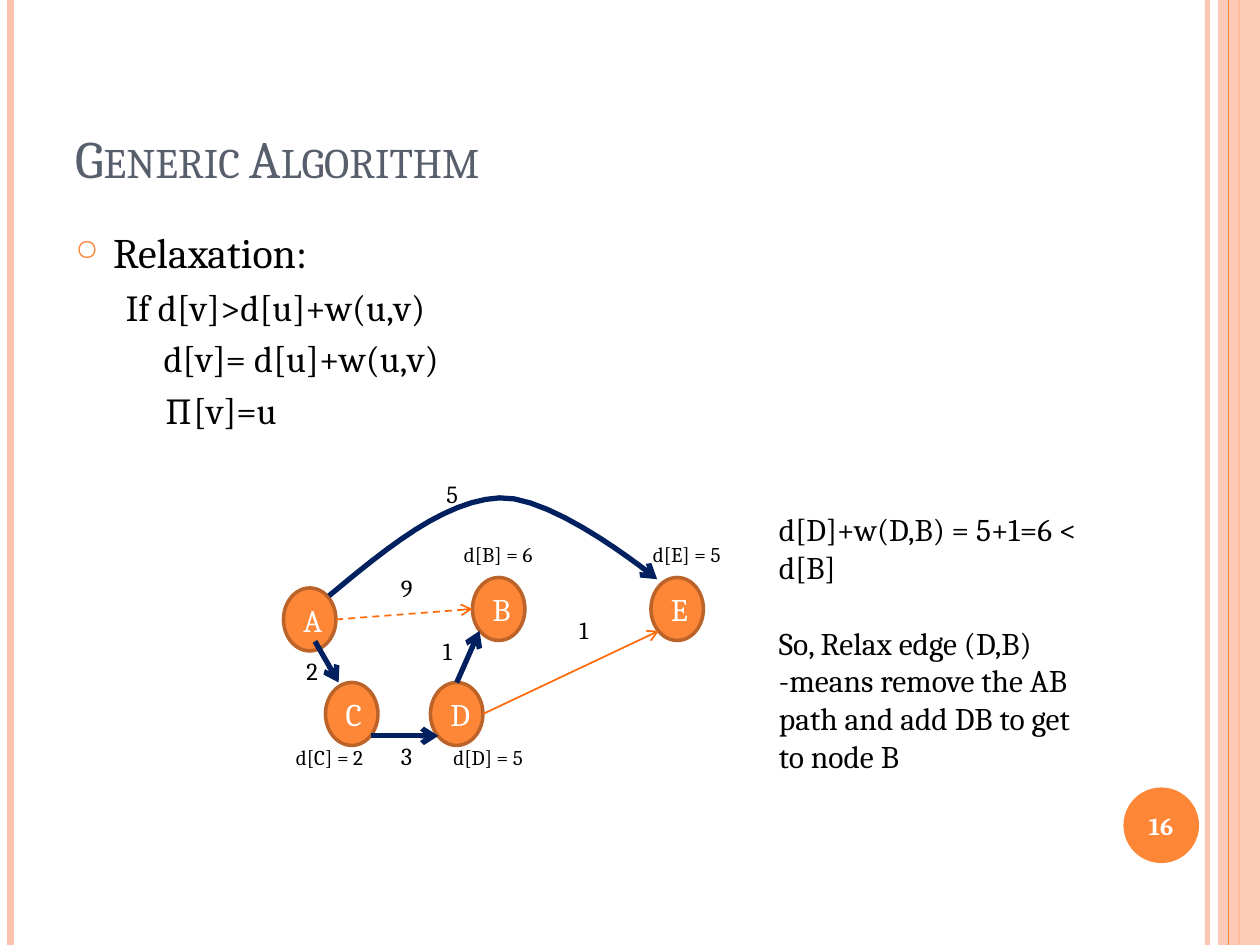
from lxml import etree
from pptx import Presentation
from pptx.dml.color import RGBColor
from pptx.enum import dml, shapes, text
from pptx.oxml import ns
from pptx.util import Pt

FONT = "Cambria"
HUES = {
    "peach": "FEC3AE", "orange": "FE8637", "rust": "BC6329", "edge": "FF6B0A",
    "navy": "002060", "slate": "575F6D", "black": "000000", "white": "FFFFFF",
}
NODES = {"A": (0, 66), "D": (84, 120), "C": (24, 120), "B": (108, 60), "E": (210, 60)}
EDGES = [
    ((30, 84), (108, 78), "edge", 1, True),
    ((18, 96.5), (31.5, 120), "navy", 3, False),
    ((50, 150.5), (88.5, 150.5), "navy", 3, False),
    ((114, 138), (214.5, 90.5), "edge", 1, False),
    ((99, 120), (112, 90.5), "navy", 3, False),
]
ARCS = [
    ((26, 70.5), (59, 43), (92, 16), (123.5, 14.5)),
    ((123.5, 14.5), (155, 13), (213.5, 61), (213.5, 61)),
]
COSTS = [("9", 60, 54), ("5", 86, 0), ("2", 6, 101.5),
         ("3", 60, 150), ("1", 162, 78), ("1", 84, 90)]
DISTS = [("d[B] = 6", 96, 36), ("d[D] = 5", 90, 152),
         ("d[C] = 2", 0, 152), ("d[E] = 5", 204, 36)]


def hue(name):
    """Return the named colour."""
    return RGBColor.from_string(HUES[name])


def pts(*vals):
    """Turn numbers into point lengths."""
    return [Pt(v) for v in vals]


def sub(node, tag, **attrs):
    """Append a drawing element with attributes."""
    return etree.SubElement(node, ns.qn(tag), attrs)


def fade(shape, share):
    """Make the shape's colours partly opaque."""
    for clr in shape._element.spPr.iter(ns.qn("a:srgbClr")):
        sub(clr, "a:alpha", val=str(share * 1000))


def style(frame, size, color):
    """Format every run of a text frame."""
    for para in frame.paragraphs:
        for run in para.runs:
            run.font.name, run.font.size = FONT, Pt(size)
            run.font.color.rgb = hue(color)


def write(pool, box, words, size, color="black", wrap=True):
    """Add a text box and return its frame."""
    frame = pool.add_textbox(*pts(*box)).text_frame
    frame.word_wrap = wrap
    frame.text = words
    style(frame, size, color)
    return frame


def line(pool, start, end, color, width):
    """Add a straight line without a shadow."""
    link = pool.add_connector(shapes.MSO_CONNECTOR.STRAIGHT, *pts(*start, *end))
    link.line.color.rgb = hue(color)
    link.line.width = Pt(width)
    sub(link._element.spPr, "a:effectLst")
    return link


def solid(pool, kind, box, color):
    """Add a filled shape without outline or shadow."""
    shape = pool.add_shape(kind, *pts(*box))
    shape.shadow.inherit = False
    shape.fill.solid()
    shape.fill.fore_color.rgb = hue(color)
    shape.line.fill.background()
    return shape


def point(shape):
    """Put an open arrowhead at the end of a line."""
    sub(shape.line._get_or_add_ln(), "a:tailEnd", type="arrow")


def frame_page(pool, box):
    """Draw the side stripes and the number disc."""
    left, top, wide, high = box

    def stripe(x, color, width):
        return line(pool, (left + x, top), (left + x, top + high), color, width)

    fade(stripe(wide - 30, "peach", 3), 93)
    stripe(6, "peach", 4.5)
    stripe(wide - 12, "orange", 1.5)
    band = (left + wide - 24, top, 24, high)
    fade(solid(pool, shapes.MSO_SHAPE.RECTANGLE, band, "peach"), 87)
    stripe(wide - 18, "orange", 0.75)
    spot = (left + wide - 78, top + high - 90, 43.2, 43.2)
    disc = solid(pool, shapes.MSO_SHAPE.OVAL, spot, "orange")
    body = disc.text_frame
    body.text = "16"
    body.vertical_anchor = text.MSO_ANCHOR.MIDDLE
    body.paragraphs[0].alignment = text.PP_ALIGN.CENTER
    style(body, 14, "white")
    body.paragraphs[0].runs[0].font.bold = True


def head(pool, box):
    """Write the title in small capitals."""
    frame = write(pool, box, "Generic Algorithm", 30, "slate")
    frame.vertical_anchor = text.MSO_ANCHOR.BOTTOM
    frame.paragraphs[0].runs[0].font._element.set("cap", "small")


def rule(pool, box):
    """Write the relaxation rule with its indented steps."""
    words = "Relaxation:\nIf d[v]>d[u]+w(u,v)\nd[v]= d[u]+w(u,v)\n∏[v]=u"
    frame = write(pool, box, words, 21)
    indents = [(21.6, -21.6), (50.4, -21.6), (50.4, 0), (50.4, 0)]
    for para, (left, first) in zip(frame.paragraphs, indents):
        para.space_before = Pt(4.2)
        props = para._p.get_or_add_pPr()
        props.set("marL", str(Pt(left)))
        props.set("indent", str(Pt(first)))
    lead = frame.paragraphs[0]
    lead.space_before = Pt(6)
    lead.runs[0].font.size = Pt(24)
    props = lead._p.get_or_add_pPr()
    sub(sub(props, "a:buClr"), "a:srgbClr", val=HUES["orange"])
    sub(props, "a:buSzPct", val="70000")
    sub(props, "a:buChar", char="○")


def note(pool, box):
    """Write the remark beside the graph."""
    words = ("d[D]+w(D,B) = 5+1=6 < d[B]\nSo, Relax edge (D,B)\n"
             "-means remove the AB path and add DB to get to node B")
    frame = write(pool, box, words, 18)
    frame.paragraphs[1].space_before = Pt(21.6)


def bend(pool, left, top):
    """Draw the curved edge from A to E."""
    steps = 12
    dots = []
    for a, b, c, d in ARCS:
        for t in (i / steps for i in range(1, steps + 1)):
            s = 1 - t
            dots.append([
                Pt(o + s**3 * p + 3 * s * s * t * q + 3 * s * t * t * r + t**3 * e)
                for o, p, q, r, e in zip((left, top), a, b, c, d)
            ])
    x, y = ARCS[0][0]
    path = pool.build_freeform(*pts(left + x, top + y))
    path.add_line_segments(dots, close=False)
    curve = path.convert_to_shape()
    curve.shadow.inherit = False
    curve.fill.background()
    curve.line.color.rgb = hue("navy")
    curve.line.width = Pt(3)
    point(curve)


def graph(slide, left, top):
    """Draw the weighted graph as one group."""
    pool = slide.shapes.add_group_shape().shapes
    for name, (x, y) in NODES.items():
        spot = (left + x, top + y, 30, 36)
        node = solid(pool, shapes.MSO_SHAPE.OVAL, spot, "orange")
        node.line.color.rgb = hue("rust")
        node.line.width = Pt(2)
        node.text_frame.text = name
        node.text_frame.vertical_anchor = text.MSO_ANCHOR.MIDDLE
        node.text_frame.paragraphs[0].alignment = text.PP_ALIGN.CENTER
        style(node.text_frame, 18, "white")
    for (x, y), (u, v), color, width, dashed in EDGES:
        link = line(pool, (left + x, top + y), (left + u, top + v), color, width)
        if dashed:
            link.line.dash_style = dml.MSO_LINE.DASH
        point(link)
    bend(pool, left, top)
    for tags, wide, high, size in ((COSTS, 22, 24.5, 14), (DISTS, 59, 21.6, 12)):
        for words, x, y in tags:
            write(pool, (left + x, top + y, wide, high), words, size, wrap=False)


def main():
    """Build and save the slide."""
    deck = Presentation()
    deck.slide_width, deck.slide_height = pts(720, 540)
    slide = deck.slides.add_slide(deck.slide_layouts[6])
    pool = slide.shapes
    frame_page(pool, (0, 0, 720, 540))
    head(pool, (36, 21.6, 588, 90))
    rule(pool, (36, 126, 588, 384))
    note(pool, (438, 288, 192, 160))
    graph(slide, 162, 270)
    deck.save("out.pptx")


if __name__ == "__main__":
    main()
